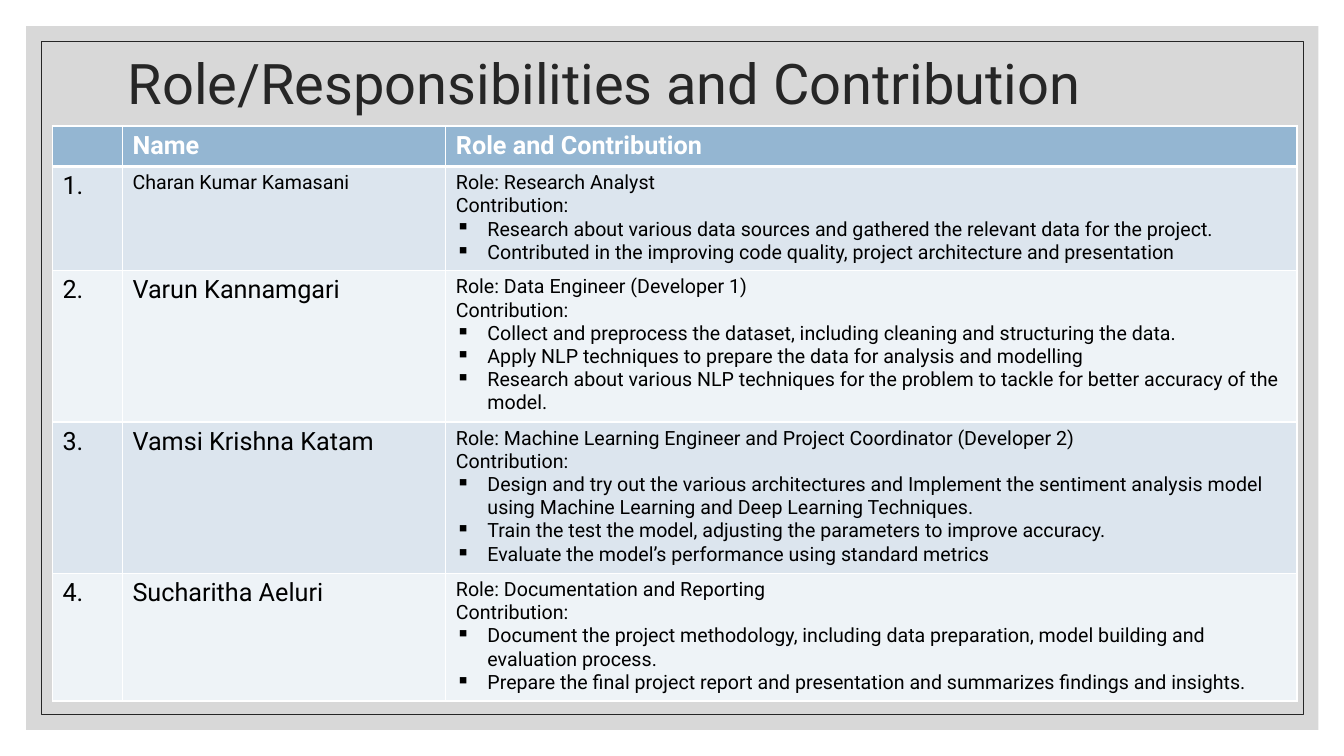
from lxml.etree import SubElement
from pptx import Presentation
from pptx.dml.color import RGBColor
from pptx.enum.shapes import MSO_SHAPE as Shape
from pptx.enum.text import MSO_ANCHOR as Anchor
from pptx.oxml.ns import qn
from pptx.util import Pt

FONT = "Roboto"
WHITE = RGBColor(0xFF, 0xFF, 0xFF)
BLACK = RGBColor(0, 0, 0)
INK = RGBColor(0x26, 0x26, 0x26)
PANEL = RGBColor(0xBF, 0xBF, 0xBF)
HEADER = RGBColor(0x94, 0xB6, 0xD2)
BANDS = (RGBColor(0xDC, 0xE5, 0xEE), RGBColor(0xEE, 0xF3, 0xF7))

COLUMN_WIDTHS = (50, 231, 608)
ROW_HEIGHTS = (28.5, 73.5, 106.5, 106.5, 90)
HEADINGS = ("", "Name", "Role and Contribution")
MEMBERS = (
    ("Charan Kumar Kamasani", 14, "Research Analyst", (
        "Research about various data sources and gathered the relevant data for the project.",
        "Contributed in the improving code quality, project architecture and presentation",
    )),
    ("Varun Kannamgari", 18, "Data Engineer (Developer 1)", (
        "Collect and preprocess the dataset, including cleaning and structuring the data.",
        "Apply NLP techniques to prepare the data for analysis and modelling",
        "Research about various NLP techniques for the problem to tackle for better accuracy of the model.",
    )),
    ("Vamsi Krishna Katam", 18, "Machine Learning Engineer and Project Coordinator (Developer 2)", (
        "Design and try out the various architectures and Implement the sentiment analysis model "
        "using Machine Learning and Deep Learning Techniques.",
        "Train the test the model, adjusting the parameters to improve accuracy.",
        "Evaluate the model’s performance using standard metrics",
    )),
    ("Sucharitha Aeluri", 18, "Documentation and Reporting", (
        "Document the project methodology, including data preparation, model building and evaluation process.",
        "Prepare the final project report and presentation and summarizes findings and insights.",
    )),
)


def write(paragraph, wording, size, color, bold=False):
    """Add one styled run to a paragraph."""
    run = paragraph.add_run()
    run.text = wording
    run.font.name = FONT
    run.font.size = Pt(size)
    run.font.bold = bold
    run.font.color.rgb = color


def add_bullet(paragraph):
    """Give a paragraph a square bullet with a hanging indent."""
    properties = paragraph._p.get_or_add_pPr()
    properties.set("marL", str(Pt(22.5)))
    properties.set("indent", str(Pt(-22.5)))
    SubElement(properties, qn("a:buChar"), char="▪")


def style_cell(cell, fill, top=1, bottom=1):
    """Fill a cell and draw its white borders."""
    properties = cell._tc.get_or_add_tcPr()
    for side, weight in (("L", 1), ("R", 1), ("T", top), ("B", bottom)):
        border = SubElement(properties, qn(f"a:ln{side}"), w=str(Pt(weight)))
        paint = SubElement(border, qn("a:solidFill"))
        SubElement(paint, qn("a:srgbClr"), val=str(WHITE))
    cell.fill.solid()
    cell.fill.fore_color.rgb = fill


def add_backdrop(slide, left, top, width, height):
    """Draw the translucent grey panel and the thin frame inside it."""
    inset = 10.8
    panel = slide.shapes.add_shape(Shape.RECTANGLE, Pt(left), Pt(top), Pt(width), Pt(height))
    panel.shadow.inherit = False
    panel.fill.solid()
    panel.fill.fore_color.rgb = PANEL
    tint = panel.fill._xPr.find(qn("a:solidFill"))[0]
    SubElement(tint, qn("a:alpha"), val="60000")
    panel.line.fill.background()
    frame = slide.shapes.add_shape(Shape.RECTANGLE, Pt(left + inset), Pt(top + inset),
                                   Pt(width - 2 * inset), Pt(height - 2 * inset))
    frame.shadow.inherit = False
    frame.fill.background()
    frame.line.color.rgb = INK
    frame.line.width = Pt(0.5)


def add_title(slide, left, top, width, height):
    """Place the slide title."""
    title = slide.shapes.add_textbox(Pt(left), Pt(top), Pt(width), Pt(height)).text_frame
    title.word_wrap = True
    title.vertical_anchor = Anchor.MIDDLE
    heading = title.paragraphs[0]
    heading.line_spacing = 0.9
    write(heading, "Role/Responsibilities and Contribution", 40, INK)


def fill_role(cell, role, contributions):
    """Write a member's role and bulleted contributions."""
    frame = cell.text_frame
    write(frame.paragraphs[0], f"Role: {role}", 14, BLACK)
    write(frame.add_paragraph(), "Contribution:", 14, BLACK)
    for contribution in contributions:
        item = frame.add_paragraph()
        add_bullet(item)
        write(item, contribution, 14, BLACK)


def add_team_table(slide, left, top):
    """Build the table of members, roles and contributions."""
    team = slide.shapes.add_table(len(ROW_HEIGHTS), len(COLUMN_WIDTHS), Pt(left), Pt(top),
                                  Pt(sum(COLUMN_WIDTHS)), Pt(sum(ROW_HEIGHTS))).table
    for column, width in zip(team.columns, COLUMN_WIDTHS):
        column.width = Pt(width)
    for row, height in zip(team.rows, ROW_HEIGHTS):
        row.height = Pt(height)
    for cell, heading in zip(team.rows[0].cells, HEADINGS):
        style_cell(cell, HEADER, bottom=3)
        if heading:
            write(cell.text_frame.paragraphs[0], heading, 18, WHITE, bold=True)
    for number, (name, name_size, role, contributions) in enumerate(MEMBERS, 1):
        number_cell, name_cell, role_cell = team.rows[number].cells
        for cell in (number_cell, name_cell, role_cell):
            style_cell(cell, BANDS[(number - 1) % 2], top=3 if number == 1 else 1)
        write(number_cell.text_frame.paragraphs[0], f"{number}.", 18, BLACK)
        write(name_cell.text_frame.paragraphs[0], name, name_size, BLACK)
        fill_role(role_cell, role, contributions)


def main():
    """Build and save the slide."""
    deck = Presentation()
    deck.slide_width, deck.slide_height = Pt(960), Pt(540)
    slide = deck.slides.add_slide(deck.slide_layouts[6])
    add_backdrop(slide, 18.7, 18.7, 923, 502.6)
    add_title(slide, 84.2, 33.1, 792, 57)
    add_team_table(slide, 37.5, 90)
    deck.save("out.pptx")


if __name__ == "__main__":
    main()
